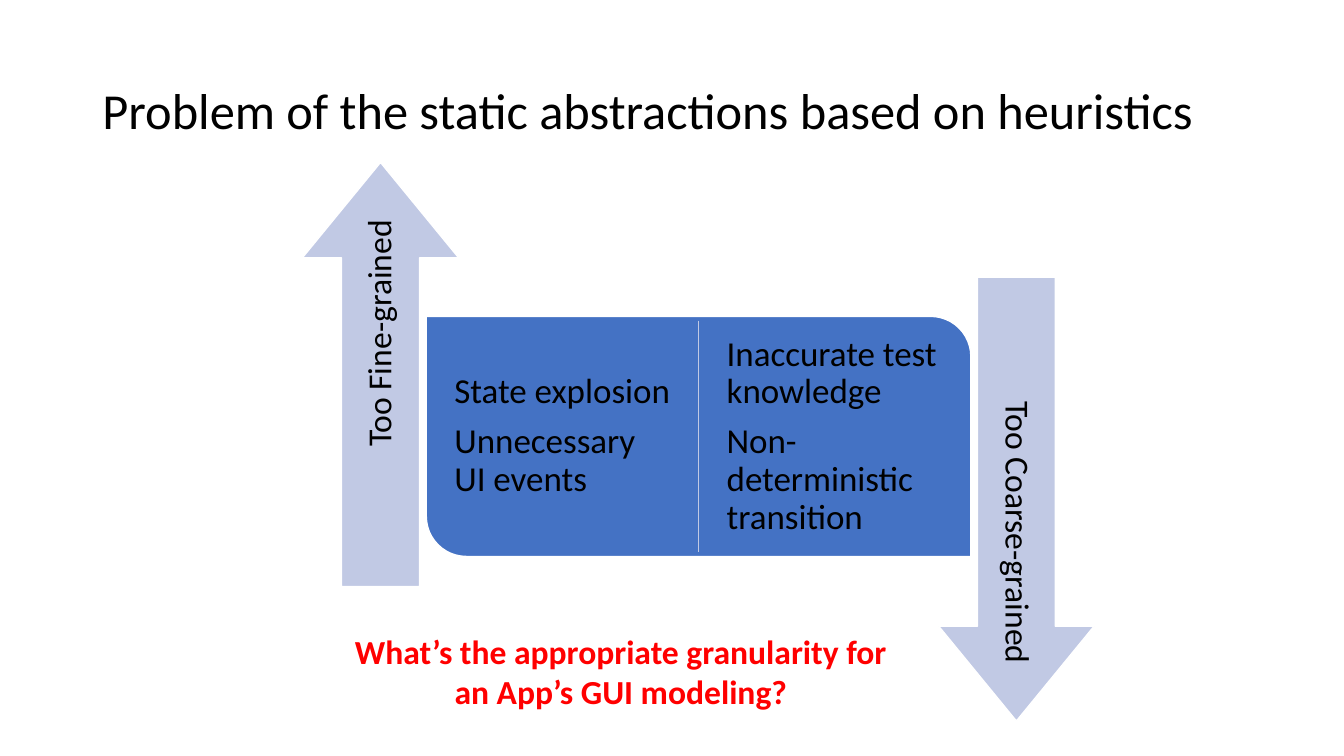
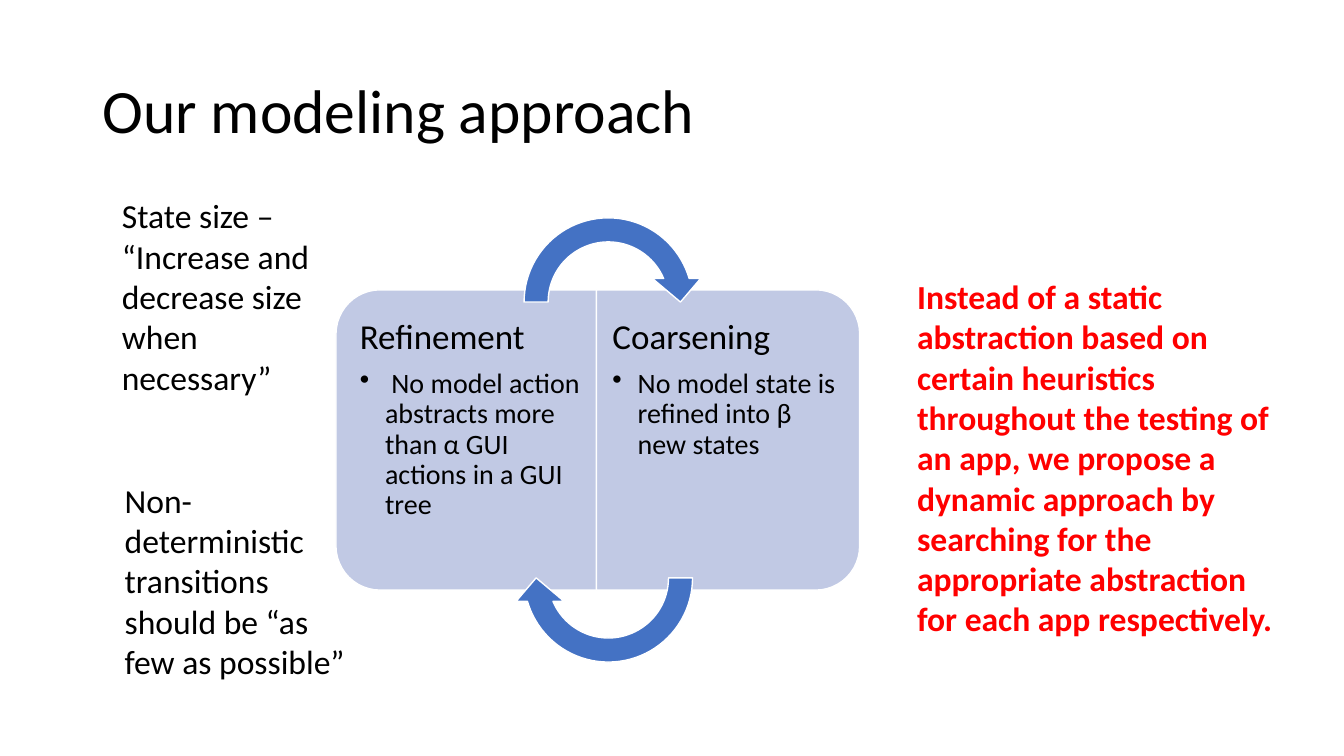
from collections import namedtuple

from lxml.etree import SubElement
from pptx import Presentation
from pptx.dml.color import RGBColor
from pptx.enum.shapes import MSO_CONNECTOR, MSO_SHAPE
from pptx.enum.text import MSO_ANCHOR, MSO_AUTO_SIZE, PP_ALIGN
from pptx.oxml.ns import qn
from pptx.util import Pt

BLACK = RGBColor(0x00, 0x00, 0x00)
WHITE = RGBColor(0xFF, 0xFF, 0xFF)
RED = RGBColor(0xFF, 0x00, 0x00)
BLUE = RGBColor(0x44, 0x72, 0xC4)
PALE_BLUE = RGBColor(0xC1, 0xC9, 0xE4)
FONT = "Calibri"
TITLE_ONLY = 5

Box = namedtuple("Box", "left top width height")
TITLE_BOX = Box(66, 29, 828, 104)
BODY_INSETS = (7.2, 3.6, 7.2, 3.6)
DIAGRAM_INSETS = (7.2, 7.2, 7.2, 7.2)


def emu(box):
    return [Pt(length) for length in box]


# Shared text and shape styles
def style(paragraph, size, color=BLACK, bold=False, align=PP_ALIGN.LEFT,
          spacing=None, after=None):
    paragraph.alignment = align
    paragraph.line_spacing = spacing
    paragraph.space_after = None if after is None else Pt(after)
    font = paragraph.font
    font.name, font.size, font.bold = FONT, Pt(size), bold
    font.color.rgb = color


def set_frame(frame, insets=BODY_INSETS, anchor=MSO_ANCHOR.TOP):
    frame.word_wrap = True
    frame.auto_size = MSO_AUTO_SIZE.NONE
    frame.vertical_anchor = anchor
    (frame.margin_left, frame.margin_top,
     frame.margin_right, frame.margin_bottom) = emu(insets)


def add_text(slide, box, lines, insets=BODY_INSETS, anchor=MSO_ANCHOR.TOP, **look):
    frame = slide.shapes.add_textbox(*emu(box)).text_frame
    set_frame(frame, insets, anchor)
    frame.text = "\n".join(lines)
    for paragraph in frame.paragraphs:
        style(paragraph, **look)
    return frame


def add_part(slide, preset, box, fill, adjustments, rotation=0):
    part = slide.shapes.add_shape(preset, *emu(box))
    part.shadow.inherit = False
    part.rotation = rotation
    part.fill.solid()
    part.fill.fore_color.rgb = fill
    part.line.color.rgb = WHITE
    part.line.width = Pt(1)
    for index, value in enumerate(adjustments):
        part.adjustments[index] = value
    return part


def turned(box):
    """Frame that covers the box after a quarter turn."""
    return Box(box.left + (box.width - box.height) / 2,
               box.top + (box.height - box.width) / 2, box.height, box.width)


def add_titled_slide(prs, title, size):
    slide = prs.slides.add_slide(prs.slide_layouts[TITLE_ONLY])
    heading = slide.shapes.title
    heading.left, heading.top, heading.width, heading.height = emu(TITLE_BOX)
    set_frame(heading.text_frame, anchor=MSO_ANCHOR.MIDDLE)
    heading.text_frame.text = title
    style(heading.text_frame.paragraphs[0], size, spacing=0.9)
    return slide


# Opposing arrows diagram
def add_grain_arrow(slide, box, label, rotation):
    arrow = add_part(slide, MSO_SHAPE.RIGHT_ARROW, turned(box), PALE_BLUE,
                     (0.5, 0.61), rotation)
    set_frame(arrow.text_frame, DIAGRAM_INSETS, MSO_ANCHOR.MIDDLE)
    arrow.text_frame.text = label
    style(arrow.text_frame.paragraphs[0], 24, align=PP_ALIGN.RIGHT, spacing=0.9)


def add_problem_panel(slide, box, columns):
    add_part(slide, MSO_SHAPE.ROUND_2_DIAG_RECTANGLE, box, BLUE, (0, 0.167))
    middle = box.left + box.width / 2
    divider = slide.shapes.add_connector(
        MSO_CONNECTOR.STRAIGHT, Pt(middle), Pt(box.top + 3),
        Pt(middle), Pt(box.top + box.height - 3))
    divider.line.color.rgb = PALE_BLUE
    divider.line.width = Pt(1)
    SubElement(divider._element.spPr, qn("a:effectLst"))
    gap = 13
    column_width = box.width / 2 - 2 * gap
    for left, problems in zip((box.left + gap, middle + gap), columns):
        add_text(slide, Box(left, box.top - 3, column_width, box.height + 6),
                 problems, DIAGRAM_INSETS, MSO_ANCHOR.MIDDLE,
                 size=25, spacing=0.9, after=8.75)


def build_problem_slide(prs):
    slide = add_titled_slide(
        prs, "Problem of the static abstractions based on heuristics", 36)
    add_problem_panel(slide, Box(304.5, 226, 389, 171.5), (
        ("State explosion", "Unnecessary UI events"),
        ("Inaccurate test knowledge", "Non-deterministic transition")))
    add_grain_arrow(slide, Box(216, 116, 111.6, 303), "Too Fine-grained", 270)
    add_grain_arrow(slide, Box(670.5, 198, 111, 317), "Too Coarse-grained", 90)
    add_text(slide, Box(243.5, 447, 400, 65.5),
             ["What’s the appropriate granularity for an App’s GUI modeling?"],
             size=24, color=RED, bold=True, align=PP_ALIGN.CENTER)


# Refinement and coarsening cycle
def add_cycle_half(slide, box, text_box, insets, rotation, heading, rule):
    add_part(slide, MSO_SHAPE.ROUND_2_SAME_RECTANGLE, turned(box), PALE_BLUE,
             (0.167, 0), rotation)
    frame = add_text(slide, text_box, [heading], insets,
                     size=25, spacing=0.9, after=8.75)
    bullet = frame.add_paragraph()
    bullet.text = rule
    bullet.level = 1
    properties = bullet._p.get_or_add_pPr()
    properties.set("marL", str(Pt(18)))
    properties.set("indent", str(Pt(-18)))
    SubElement(properties, qn("a:buChar")).set("char", "•")
    style(bullet, 20, spacing=0.9, after=3)


def add_cycle(slide, box):
    half = box.width / 2
    middle = box.left + half
    text_top, text_height = box.top + 9, box.height - 18
    add_cycle_half(slide, Box(box.left, box.top, half + 2, box.height),
                   Box(box.left + 10, text_top, 180, text_height),
                   (7.2, 12.2, 11.5, 12.2), 270, "Refinement",
                   " No model action abstracts more than α GUI actions in a GUI tree")
    add_cycle_half(slide, Box(middle - 1, box.top, half + 1, box.height),
                   Box(middle - 1, text_top, 179, text_height),
                   (11.5, 12.2, 7.2, 12.2), 90, "Coarsening",
                   "No model state is refined into β new states")
    ring = 137.5
    ring_left = middle + 7.5 - ring / 2
    for ring_top, rotation in ((box.top - 60, 0),
                               (box.top + box.height + 60 - ring, 180)):
        add_part(slide, MSO_SHAPE.CIRCULAR_ARROW,
                 Box(ring_left, ring_top, ring, ring), BLUE,
                 (0.125, 11.423, 204.577, 108, 0.125), rotation)


def build_approach_slide(prs):
    slide = add_titled_slide(prs, "Our modeling approach", 44)
    add_cycle(slide, Box(240, 207, 374, 214.5))
    add_text(slide, Box(80, 136, 152, 153),
             ["State size – “Increase and decrease size when necessary”"], size=24)
    add_text(slide, Box(82, 339, 184, 153),
             ["Non-deterministic transitions should be “as few as possible”"], size=24)
    add_text(slide, Box(648, 193.5, 279.5, 269), [
        "Instead of a static abstraction based on certain heuristics throughout "
        "the testing of an app, we propose a dynamic approach by searching for "
        "the appropriate abstraction for each app respectively."],
        size=24, color=RED, bold=True)


def main():
    prs = Presentation()
    prs.slide_width, prs.slide_height = Pt(960), Pt(540)
    build_problem_slide(prs)
    build_approach_slide(prs)
    prs.save("out.pptx")


if __name__ == "__main__":
    main()
